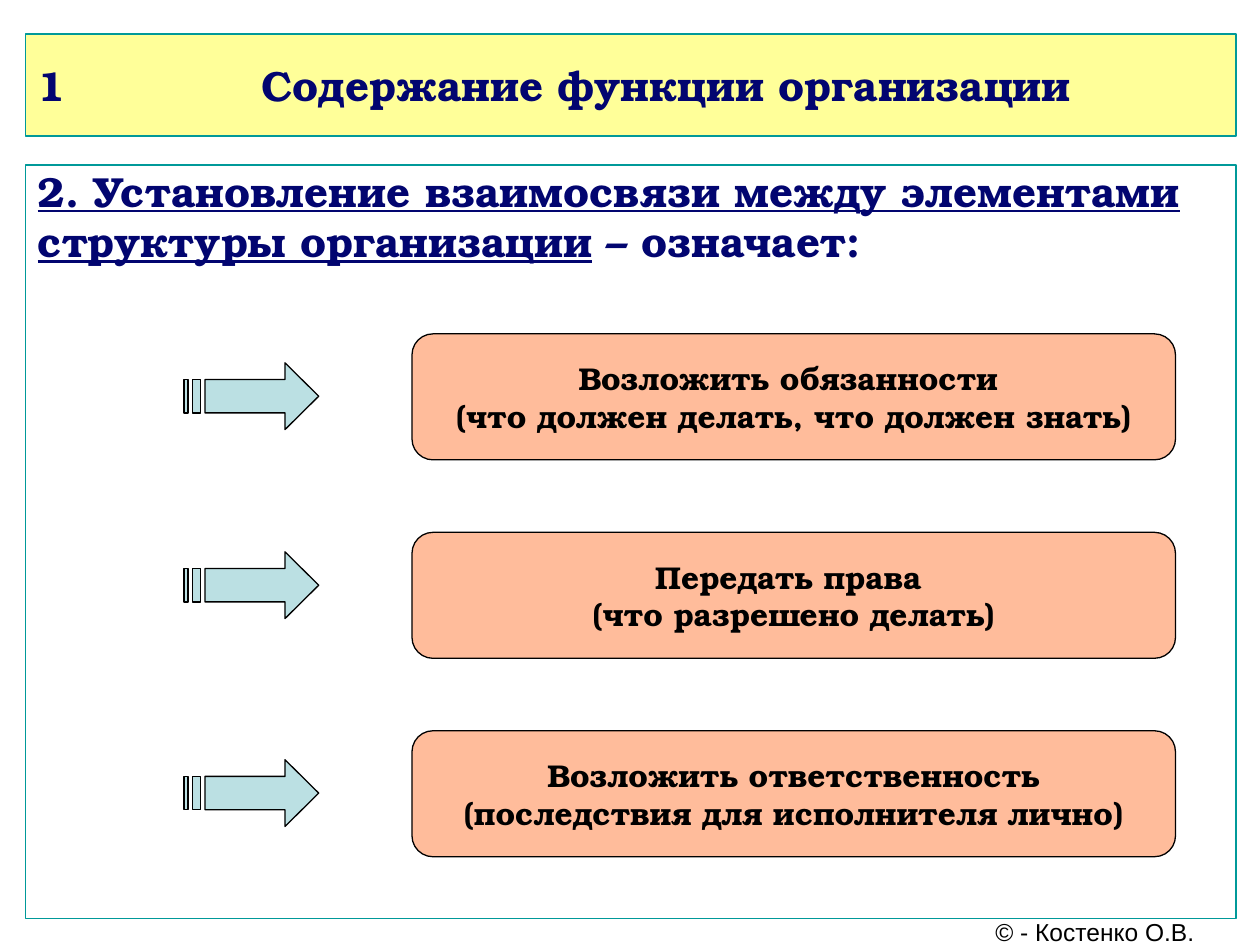
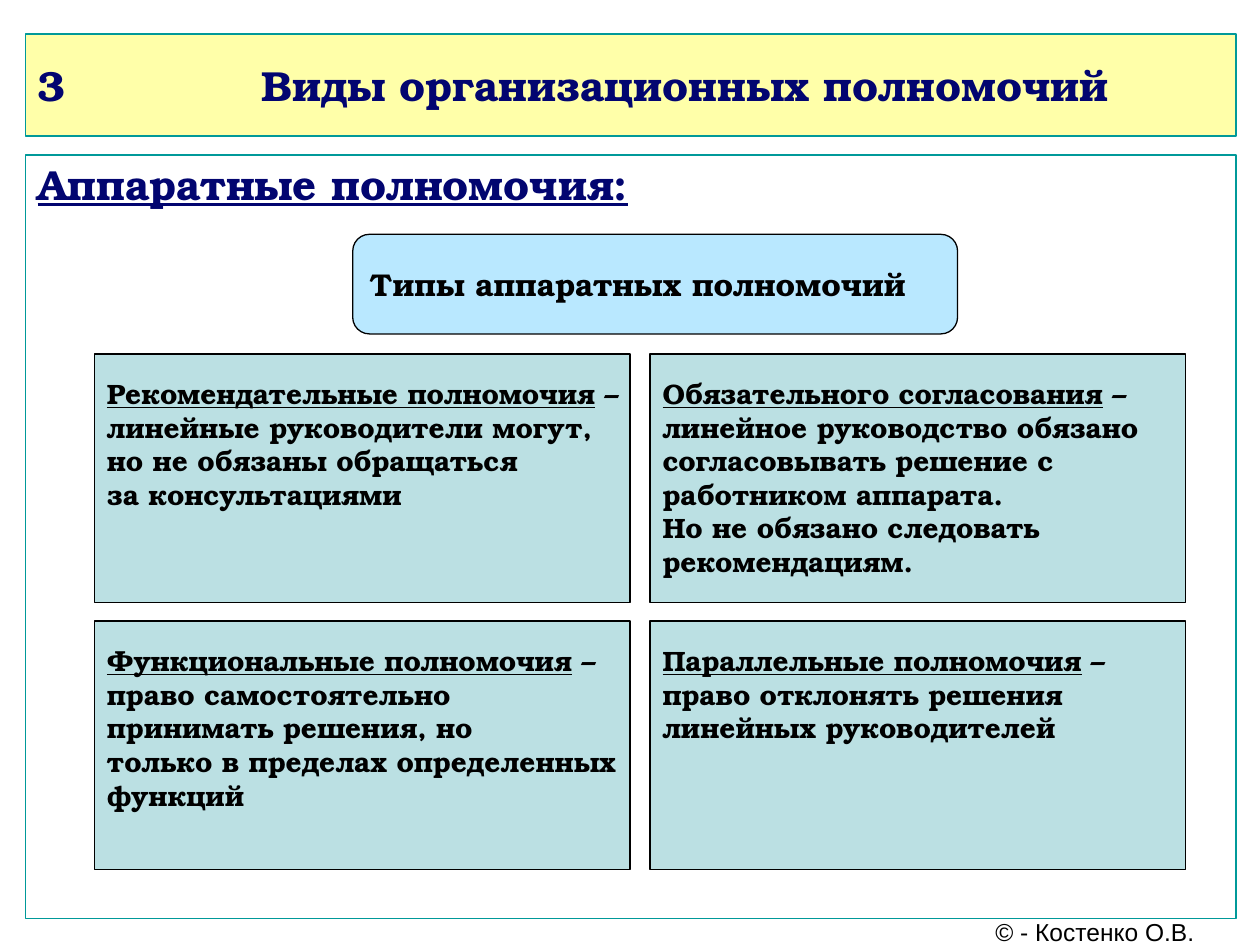
from pptx import Presentation
from pptx.dml.color import RGBColor
from pptx.enum.shapes import MSO_SHAPE
from pptx.enum.text import MSO_ANCHOR, PP_ALIGN
from pptx.util import Inches, Pt

COLS, ROWS = 100, 75
UNIT = Inches(0.1)
SERIF, SANS = "TeX Gyre Bonum", "Arial"
NAVY = RGBColor(0x02, 0x05, 0x70)
BLACK = RGBColor(0, 0, 0)
WHITE = RGBColor(255, 255, 255)
TEAL = RGBColor(0x00, 0x99, 0x99)
YELLOW = RGBColor(0xFF, 0xFF, 0x99)
PALE_YELLOW = RGBColor(0xFF, 0xFF, 0xA9)
PEACH = RGBColor(0xFF, 0xBC, 0x9B)
SKY = RGBColor(0xB9, 0xE8, 0xFF)
AQUA = RGBColor(0xBB, 0xE0, 0xE3)
LEFT, WIDTH, BOTTOM = 2, 96.1, 72.9

DUTIES = [
    ["Возложить обязанности ", "(что должен делать, что должен знать)"],
    ["Передать права ", "(что разрешено делать)"],
    ["Возложить ответственность", "(последствия для исполнителя лично)"],
]
ARROW_ROWS = [28.8, 43.8, 60.3]
POWERS = [
    ("Рекомендательные полномочия",
     ["линейные руководители могут,", "но не обязаны обращаться", "за консультациями"]),
    ("Обязательного согласования",
     ["линейное руководство обязано", "согласовывать решение с", "работником аппарата.",
      "Но не обязано следовать", "рекомендациям."]),
    ("Функциональные полномочия",
     ["право самостоятельно", "принимать решения, но",
      "только в пределах определенных", "функций"]),
    ("Параллельные полномочия",
     ["право отклонять решения", "линейных руководителей"]),
]


def grid(*lengths):
    return [int(n * UNIT) for n in lengths]


def paint(sp, fill, line):
    sp.shadow.inherit = False
    sp.fill.solid()
    sp.fill.fore_color.rgb = fill
    sp.line.color.rgb = line
    sp.line.width = Pt(0.75)


def write(sp, lines, size, color=BLACK, font=SERIF, bold=True, align=PP_ALIGN.LEFT,
          wrap=False, top=None):
    tf = sp.text_frame
    tf.word_wrap = wrap
    tf.vertical_anchor = MSO_ANCHOR.MIDDLE if top is None else MSO_ANCHOR.TOP
    if top is not None:
        tf.margin_top = Inches(top)
    for i, line in enumerate(lines):
        p = tf.paragraphs[0] if i == 0 else tf.add_paragraph()
        p.alignment = align
        underlined, plain = line if isinstance(line, tuple) else ("", line)
        for text, underline in ((underlined, True), (plain, False)):
            if text:
                r = p.add_run()
                r.text = text
                r.font.name, r.font.size, r.font.bold = font, Pt(size), bold
                r.font.underline = underline
                r.font.color.rgb = color


def box(s, area, fill, lines, size, line=BLACK, rounded=False, **style):
    kind = MSO_SHAPE.ROUNDED_RECTANGLE if rounded else MSO_SHAPE.RECTANGLE
    sp = s.shapes.add_shape(kind, *grid(*area))
    paint(sp, fill, line)
    write(sp, lines, size, **style)
    return sp


def striped_arrow(s, left, top, width=10.7, height=5.3):
    contours = [
        [(24, 0), (24, 1), (5, 1), (5, 3), (24, 3), (24, 4), (32, 2)],
        [(2, 1), (2, 3), (4, 3), (4, 1)],
        [(0, 1), (0, 3), (1, 3), (1, 1)],
    ]
    scale = (width * UNIT / 32, height * UNIT / 4)
    fb = s.shapes.build_freeform(*contours[0][0], scale=scale)
    fb.add_line_segments(contours[0][1:], close=True)
    for start, *rest in contours[1:]:
        fb.move_to(*start)
        fb.add_line_segments(rest, close=True)
    paint(fb.convert_to_shape(*grid(left, top)), AQUA, BLACK)


def base_slide(prs, number, title, band_fill, heading, panel_top, inset):
    s = prs.slides.add_slide(prs.slide_layouts[6])
    band = box(s, (LEFT, 2.7, WIDTH, 8.1), band_fill, [f"{number}\t{title}"], 24,
               line=TEAL, color=NAVY, wrap=True)
    pPr = band.text_frame.paragraphs[0]._p.get_or_add_pPr()
    pPr.set("marL", str(Inches(1.78)))
    pPr.set("indent", str(-Inches(1.78)))
    box(s, (LEFT, panel_top, WIDTH, BOTTOM - panel_top), WHITE, [heading], 24,
        line=TEAL, color=NAVY, wrap=True, top=inset)
    footer = s.shapes.add_textbox(*grid(76.8, BOTTOM, 20.2, 2.1))
    write(footer, ["© - Костенко О.В."], 14, font=SANS, bold=False, align=PP_ALIGN.CENTER)
    return s


def content_slide(prs):
    heading = ("2. Установление взаимосвязи между элементами структуры организации",
               " – означает:")
    s = base_slide(prs, 1, "Содержание функции организации", YELLOW, heading, 13.1, 0)
    for i, (lines, arrow_row) in enumerate(zip(DUTIES, ARROW_ROWS)):
        box(s, (32.7, 26.5 + 15.75 * i, 60.6, 10), PEACH, lines, 18,
            rounded=True, align=PP_ALIGN.CENTER)
        striped_arrow(s, 14.6, arrow_row)


def powers_slide(prs):
    s = base_slide(prs, 3, "Виды организационных полномочий", PALE_YELLOW,
                   ("Аппаратные полномочия:", ""), 12.3, 0.03)
    box(s, (28, 18.6, 48, 7.9), SKY, ["Типы аппаратных полномочий"], 18, rounded=True)
    for i, (name, meaning) in enumerate(POWERS):
        row, col = divmod(i, 2)
        box(s, (7.5 + 44.1 * col, 28.1 + 21.2 * row, 42.5, 19.7), AQUA,
            [(name, " –"), *meaning], 16, top=0.18)


def main():
    prs = Presentation()
    prs.slide_width, prs.slide_height = grid(COLS, ROWS)
    content_slide(prs)
    powers_slide(prs)
    prs.save("out.pptx")


if __name__ == "__main__":
    main()
